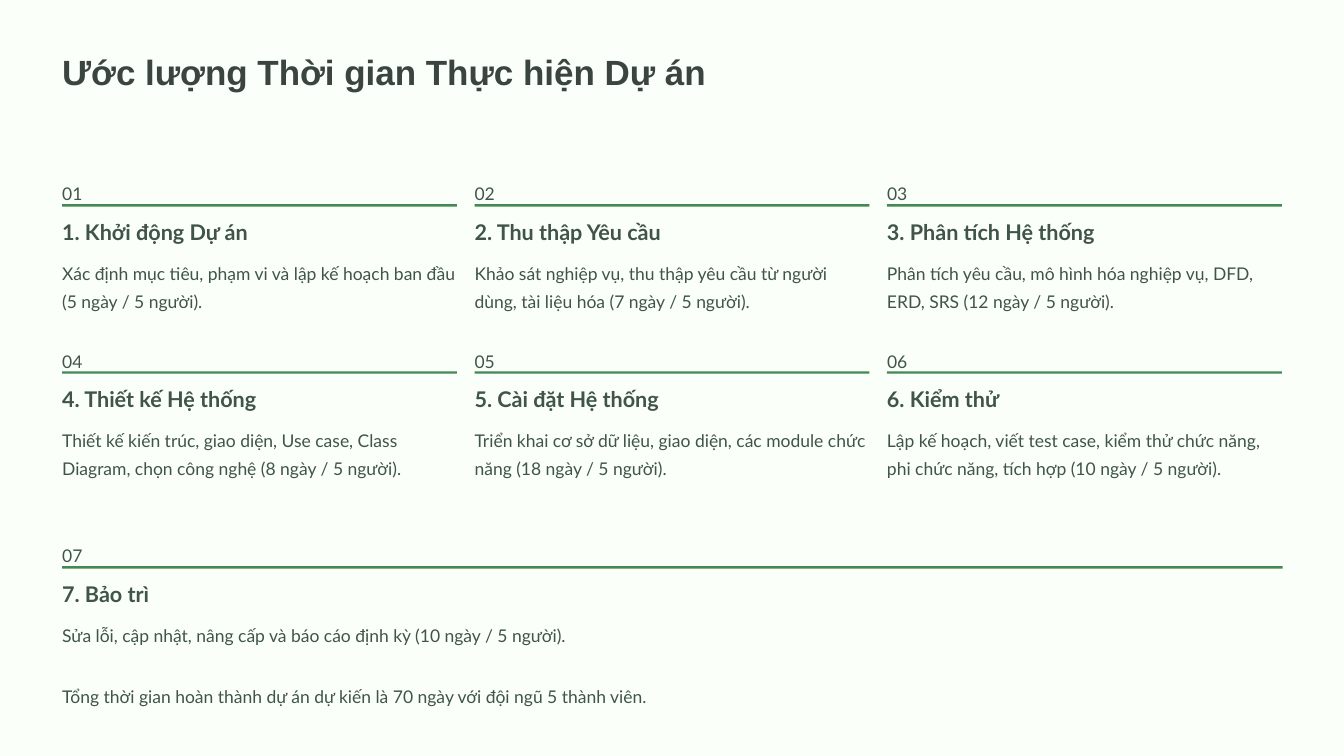
from dataclasses import dataclass

from pptx import Presentation
from pptx import util as u
from pptx.dml import color
from pptx.enum import shapes, text

PX = u.Inches(1) // 100


@dataclass(frozen=True)
class Style:
    name: str
    size: float
    leading: float
    ink: str
    bold: bool = False


@dataclass(frozen=True)
class Theme:
    ground: str = "FAFFFA"
    rule: str = "438951"
    title: Style = Style("Arial", 30, 37.5, "3B4540", True)
    heading: Style = Style("Lato", 18.5, 23.5, "405449", True)
    body: Style = Style("Lato", 15, 24, "405449")


@dataclass(frozen=True)
class Phase:
    name: str
    detail: str


THEME = Theme()
PAGE_WIDTH, PAGE_HEIGHT = 1600, 900
LEFT = 74
COLUMNS = 3
COLUMN_WIDTH, COLUMN_STEP = 470, 491
FULL_WIDTH = 1453
ROW_TOPS = (210, 409, 641)

PHASES = (
    Phase("Khởi động Dự án", "Xác định mục tiêu, phạm vi và lập kế hoạch ban đầu (5 ngày / 5 người)."),
    Phase("Thu thập Yêu cầu", "Khảo sát nghiệp vụ, thu thập yêu cầu từ người dùng, tài liệu hóa (7 ngày / 5 người)."),
    Phase("Phân tích Hệ thống", "Phân tích yêu cầu, mô hình hóa nghiệp vụ, DFD, ERD, SRS (12 ngày / 5 người)."),
    Phase("Thiết kế Hệ thống", "Thiết kế kiến trúc, giao diện, Use case, Class Diagram, chọn công nghệ (8 ngày / 5 người)."),
    Phase("Cài đặt Hệ thống", "Triển khai cơ sở dữ liệu, giao diện, các module chức năng (18 ngày / 5 người)."),
    Phase("Kiểm thử", "Lập kế hoạch, viết test case, kiểm thử chức năng, phi chức năng, tích hợp (10 ngày / 5 người)."),
    Phase("Bảo trì", "Sửa lỗi, cập nhật, nâng cấp và báo cáo định kỳ (10 ngày / 5 người)."),
)


def add_text(page, words: str, style: Style, left: int, top: int,
             width: int, height: int, wrap: bool = False) -> None:
    box = page.shapes.add_textbox(left * PX, top * PX, width * PX, height * PX)
    frame_format = {"margin_left": 0, "margin_top": 0, "margin_right": 0, "margin_bottom": 0,
                    "word_wrap": wrap, "vertical_anchor": text.MSO_ANCHOR.TOP}
    for key, value in frame_format.items():
        setattr(box.text_frame, key, value)
    para = box.text_frame.paragraphs[0]
    para.line_spacing = u.Pt(style.leading)
    span = para.add_run()
    span.text = words
    font_format = {"name": style.name, "size": u.Pt(style.size), "bold": style.bold}
    for key, value in font_format.items():
        setattr(span.font, key, value)
    span.font.color.rgb = color.RGBColor.from_string(style.ink)


def add_bar(page, fill: str, left: int, top: int, width: int, height: int) -> None:
    bar = page.shapes.add_shape(shapes.MSO_SHAPE.RECTANGLE, left * PX, top * PX, width * PX, height * PX)
    bar.shadow.inherit = False
    bar.fill.solid()
    bar.fill.fore_color.rgb = color.RGBColor.from_string(fill)
    bar.line.fill.background()


def add_phase(page, number: int, phase: Phase) -> None:
    row, column = divmod(number - 1, COLUMNS)
    left, top = LEFT + column * COLUMN_STEP, ROW_TOPS[row]
    last = number == len(PHASES)
    width = FULL_WIDTH if last else COLUMN_WIDTH
    add_text(page, f"{number:02}", THEME.body, left, top, 28, 26, True)
    add_bar(page, THEME.rule, left, top + 33, width, 3)
    add_text(page, f"{number}. {phase.name}", THEME.heading, left, top + 49, 263, 33)
    add_text(page, phase.detail, THEME.body, left, top + 95, width, 34 if last else 67, True)


def main() -> None:
    deck = Presentation()
    deck.slide_width, deck.slide_height = PAGE_WIDTH * PX, PAGE_HEIGHT * PX
    page = deck.slides.add_slide(deck.slide_layouts[6])
    add_bar(page, THEME.ground, 0, 0, PAGE_WIDTH, PAGE_HEIGHT)
    add_text(page, "Ước lượng Thời gian Thực hiện Dự án", THEME.title, LEFT, 58, 779, 53)
    for number, phase in enumerate(PHASES, 1):
        add_phase(page, number, phase)
    add_text(page, "Tổng thời gian hoàn thành dự án dự kiến là 70 ngày với đội ngũ 5 thành viên.",
             THEME.body, LEFT, 808, FULL_WIDTH, 34, True)
    deck.save("out.pptx")


if __name__ == "__main__":
    main()
